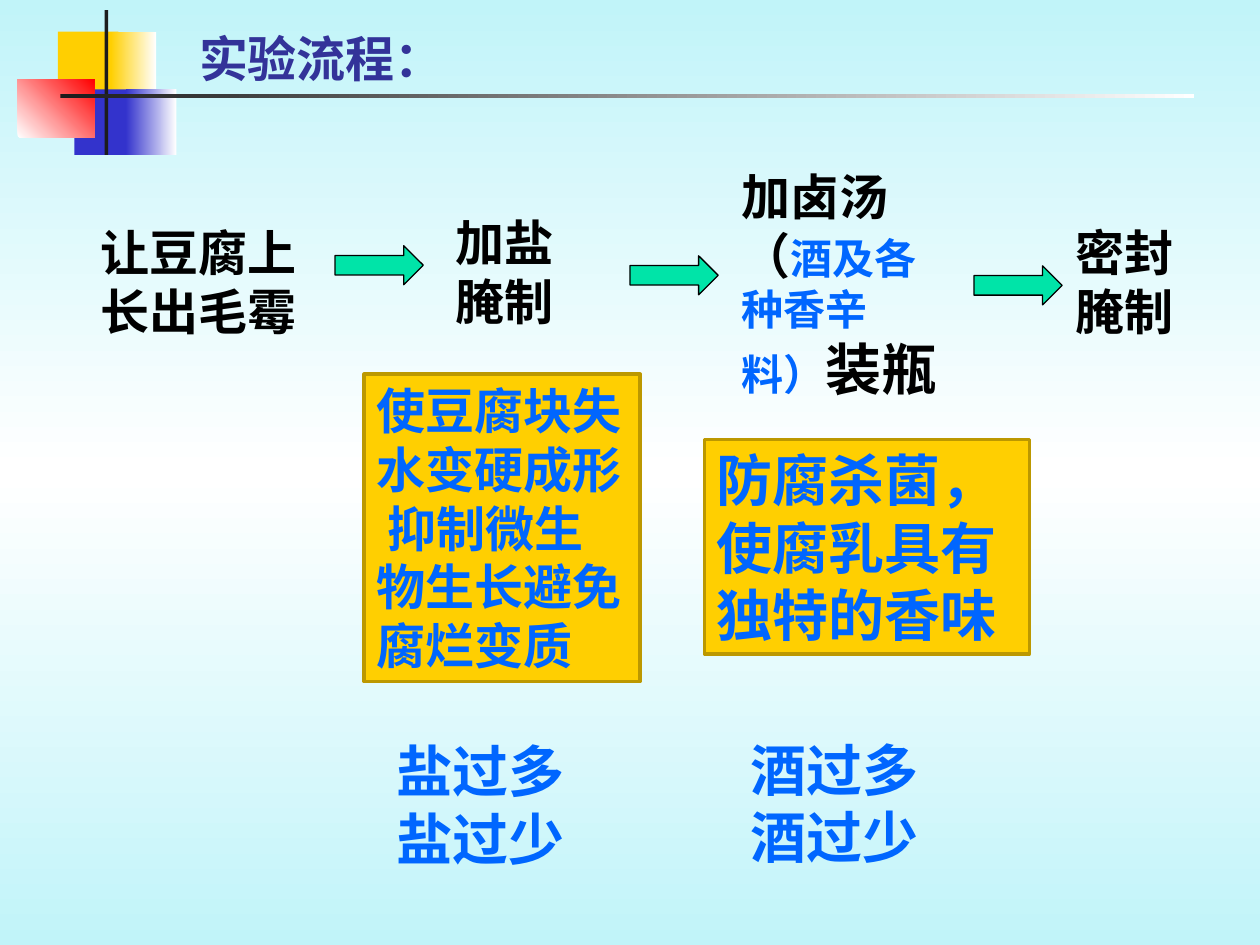
from copy import deepcopy

from pptx import Presentation
from pptx.dml.color import RGBColor
from pptx.enum.shapes import MSO_SHAPE
from pptx.enum.text import MSO_ANCHOR, MSO_AUTO_SIZE, PP_ALIGN
from pptx.util import Inches, Pt

FONT = "Cabin"
BLACK = RGBColor(0x00, 0x00, 0x00)
WHITE = RGBColor(0xFF, 0xFF, 0xFF)
CHARCOAL = RGBColor(0x1C, 0x1C, 0x1C)
SKY = RGBColor(0xC1, 0xF4, 0xF9)
YELLOW = RGBColor(0xFF, 0xCF, 0x01)
OCHRE = RGBColor(0xBC, 0x98, 0x00)
INDIGO = RGBColor(0x33, 0x33, 0xCC)
NAVY = RGBColor(0x33, 0x33, 0x99)
RED = RGBColor(0xFF, 0x00, 0x00)
GREEN = RGBColor(0x00, 0xE4, 0xA8)
BLUE = RGBColor(0x00, 0x66, 0xFF)

TITLE = "实验流程："

# (left, top, width, height), fill colours, gradient angle
ORNAMENT = [
    ((0.46, 0.25, 0.48, 0.52), [YELLOW], 0),
    ((0.88, 0.25, 0.36, 0.52), [YELLOW, WHITE], 0),
    ((0.59, 0.71, 0.46, 0.52), [INDIGO], 0),
    ((1.00, 0.71, 0.40, 0.52), [INDIGO, WHITE], 0),
    ((0.14, 0.63, 0.61, 0.46), [WHITE, RED], 45),
    ((0.83, 0.08, 0.03, 1.15), [CHARCOAL], 0),
    ((0.48, 0.75, 9.00, 0.03), [CHARCOAL, WHITE], 0),
]

# Box, then paragraphs of (text, size, colour) runs
STEPS = [
    ((0.70, 1.72, 2.07, 1.04), [[("让豆腐上长出毛霉", 28, BLACK)]]),
    ((3.52, 1.64, 1.21, 1.04), [[("加盐腌制", 28, BLACK)]]),
    ((5.79, 1.27, 1.80, 1.97), [[("加卤汤（", 28, BLACK),
                                 ("酒及各种香辛料）", 24, BLUE),
                                 ("装瓶", 32, BLACK)]]),
    ((8.44, 1.72, 1.25, 1.04), [[("密封腌制", 28, BLACK)]]),
]
QUESTIONS = [
    ((3.05, 5.80, 1.88, 1.17), [[("盐过多", 32, BLUE)], [("盐过少", 32, BLUE)]]),
    ((5.86, 5.79, 1.88, 1.17), [[("酒过多", 32, BLUE)], [("酒过少", 32, BLUE)]]),
]
REASONS = [
    ((2.89, 2.97, 2.19, 2.44), [[("使豆腐块失水变硬成形", 28, BLUE)],
                                [("抑制微生物生长避免腐烂变质", 28, BLUE)]]),
    ((5.59, 3.49, 2.58, 1.70), [[("防腐杀菌，使腐乳具有独特的香味", 32, BLUE)]]),
]
SECOND_REASON_INDENT = 0.09

ARROW_LEFTS = [2.66, 5.00, 7.73]
ARROW_TOP, ARROW_DROP = 1.95, 0.08
ARROW_SIZE = (0.70, 0.31)


def inches(box):
    return [Inches(length) for length in box]


def paint(fill, colors, angle=0):
    """Fill with one colour, or with evenly spaced gradient stops."""
    if len(colors) == 1:
        fill.solid()
        fill.fore_color.rgb = colors[0]
        return
    fill.gradient()
    fill.gradient_angle = angle
    stop_list = fill._fill._gradFill.gsLst
    for _ in colors[2:]:
        stop_list.append(deepcopy(stop_list[-1]))
    for index, (stop, color) in enumerate(zip(fill.gradient_stops, colors)):
        stop.color.rgb = color
        stop.position = index / (len(colors) - 1)


def add_block(slide, kind, box, colors, angle=0, outline=None, outline_width=0.75):
    block = slide.shapes.add_shape(kind, *inches(box))
    block.shadow.inherit = False
    paint(block.fill, colors, angle)
    if outline is None:
        block.line.fill.background()
    else:
        block.line.color.rgb = outline
        block.line.width = Pt(outline_width)
    return block


def style(run, size, color):
    run.font.name = FONT
    run.font.size = Pt(size)
    run.font.bold = True
    run.font.color.rgb = color


def write(frame, paragraphs):
    frame.word_wrap = True
    frame.auto_size = MSO_AUTO_SIZE.SHAPE_TO_FIT_TEXT
    frame.vertical_anchor = MSO_ANCHOR.TOP
    for index, runs in enumerate(paragraphs):
        paragraph = frame.add_paragraph() if index else frame.paragraphs[0]
        paragraph.alignment = PP_ALIGN.LEFT
        for text, size, color in runs:
            run = paragraph.add_run()
            run.text = text
            style(run, size, color)


def add_title(slide):
    title = slide.shapes.title
    title.left, title.top, title.width, title.height = inches((1.48, 0.17, 7.11, 0.57))
    frame = title.text_frame
    frame.text = TITLE
    frame.auto_size = MSO_AUTO_SIZE.NONE
    frame.vertical_anchor = MSO_ANCHOR.BOTTOM
    frame.paragraphs[0].alignment = PP_ALIGN.LEFT
    style(frame.paragraphs[0].runs[0], 28, NAVY)


def main():
    deck = Presentation()
    deck.slide_width, deck.slide_height = inches((10, 7.5))
    slide = deck.slides.add_slide(deck.slide_layouts[5])
    paint(slide.background.fill, [SKY, WHITE, SKY], 90)

    for box, colors, angle in ORNAMENT:
        add_block(slide, MSO_SHAPE.RECTANGLE, box, colors, angle)
    add_title(slide)

    for box, paragraphs in STEPS + QUESTIONS:
        write(slide.shapes.add_textbox(*inches(box)).text_frame, paragraphs)

    for index, left in enumerate(ARROW_LEFTS):
        box = (left, ARROW_TOP + index * ARROW_DROP, *ARROW_SIZE)
        add_block(slide, MSO_SHAPE.RIGHT_ARROW, box, [GREEN], outline=BLACK)

    for box, paragraphs in REASONS:
        panel = add_block(slide, MSO_SHAPE.RECTANGLE, box, [YELLOW],
                          outline=OCHRE, outline_width=2)
        write(panel.text_frame, paragraphs)
        for paragraph in panel.text_frame.paragraphs[1:]:
            properties = paragraph._p.get_or_add_pPr()
            properties.set("indent", str(Inches(SECOND_REASON_INDENT)))

    deck.save("out.pptx")


if __name__ == "__main__":
    main()
